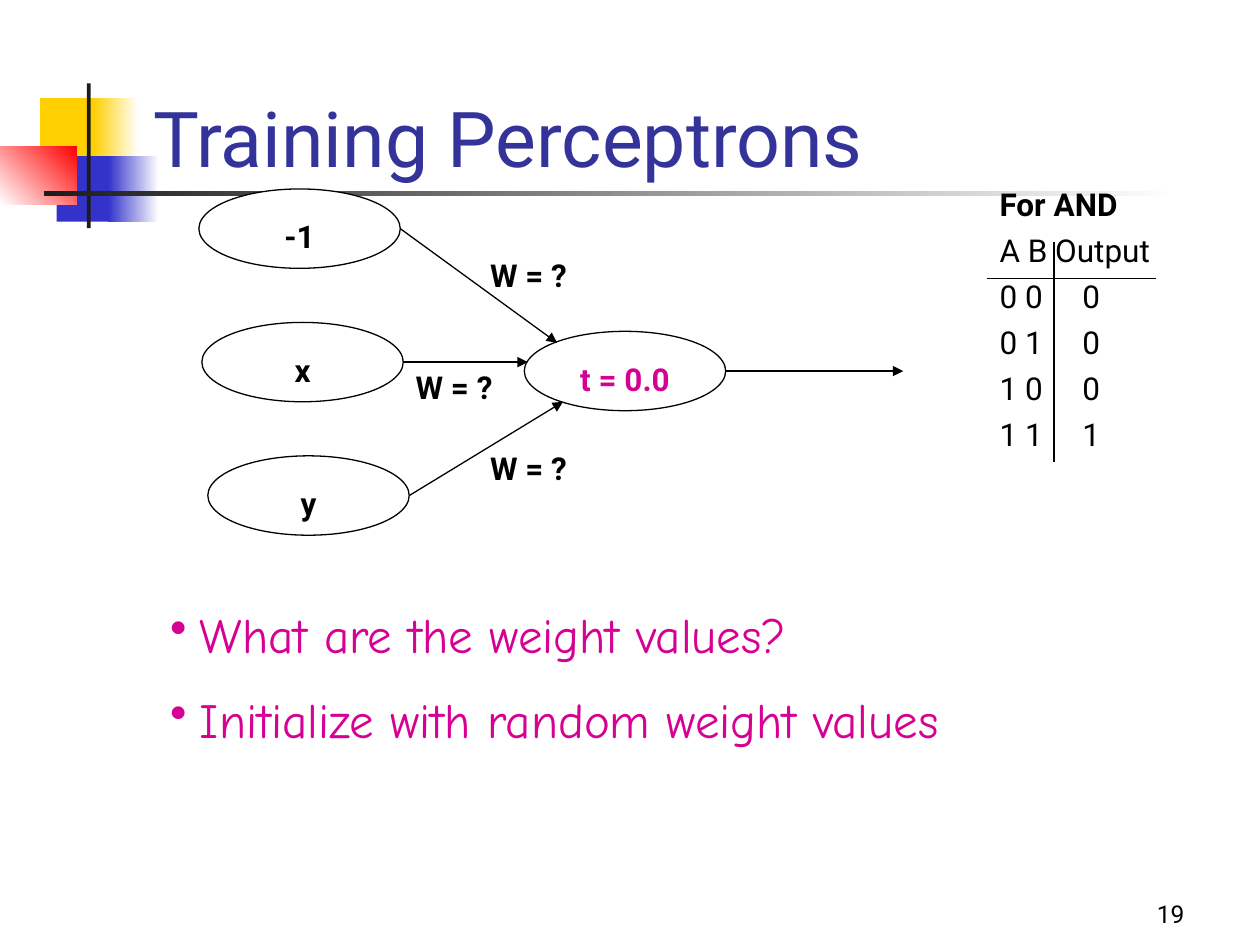
from lxml import etree
from pptx import Presentation
from pptx.dml.color import RGBColor
from pptx.enum import shapes, text
from pptx.oxml.ns import qn
from pptx.util import Cm, Pt

BLACK, WHITE, MAGENTA = "000000", "FFFFFF", "D60093"
YELLOW, BLUE, RED, CHARCOAL = "FFCF01", "3333CC", "FF0000", "1C1C1C"
LABEL_FONT, BULLET_FONT = "Roboto", "Comic Neue"
NODE_W, NODE_H = 4.06, 1.6


def rgb(value):
    return RGBColor.from_string(value)


def style(paragraph, size, color=BLACK, bold=False, name=LABEL_FONT):
    font = paragraph.font
    font.name, font.size, font.bold = name, Pt(size), bold
    font.color.rgb = rgb(color)


def add_text(slide, box, content, size, color=BLACK, bold=False,
             name=LABEL_FONT, align=None, anchor=text.MSO_ANCHOR.TOP):
    frame = slide.shapes.add_textbox(*map(Cm, box)).text_frame
    frame.word_wrap = True
    frame.vertical_anchor = anchor
    paragraph = frame.paragraphs[0]
    paragraph.text = content
    paragraph.alignment = align
    style(paragraph, size, color, bold, name)
    return frame


def add_block(slide, box, color, fade_angle=None):
    """Plain rectangle; with fade_angle it fades from color to white."""
    block = slide.shapes.add_shape(shapes.MSO_SHAPE.RECTANGLE, *map(Cm, box))
    block.shadow.inherit = False
    block.line.fill.background()
    if fade_angle is None:
        block.fill.solid()
        block.fill.fore_color.rgb = rgb(color)
    else:
        block.fill.gradient()
        block.fill.gradient_angle = fade_angle
        for stop, shade in zip(block.fill.gradient_stops, (color, WHITE)):
            stop.color.rgb = rgb(shade)


def add_line(slide, start, end, arrow=False):
    line = slide.shapes.add_connector(
        shapes.MSO_CONNECTOR.STRAIGHT, *map(Cm, (*start, *end)))
    line.line.color.rgb = rgb(BLACK)
    line.line.width = Pt(0.75)
    if arrow:
        etree.SubElement(line.line._get_or_add_ln(), qn("a:tailEnd"), type="triangle")
    etree.SubElement(line._element.spPr, qn("a:effectLst"))


def add_node(slide, x, y, label, color=BLACK):
    node = slide.shapes.add_shape(
        shapes.MSO_SHAPE.OVAL, *map(Cm, (x, y, NODE_W, NODE_H)))
    node.shadow.inherit = False
    node.fill.solid()
    node.fill.fore_color.rgb = rgb(WHITE)
    node.line.color.rgb = rgb(BLACK)
    node.line.width = Pt(0.75)
    frame = node.text_frame
    frame.vertical_anchor = text.MSO_ANCHOR.MIDDLE
    frame.margin_top, frame.margin_bottom = Cm(0.3), 0
    paragraph = frame.paragraphs[0]
    paragraph.text = label
    paragraph.alignment = text.PP_ALIGN.CENTER
    style(paragraph, 18, color, bold=True)


def add_motif(slide, left, top):
    """Coloured blocks crossed by two dark rules."""
    blocks = [
        (0.81, 0.3, 1.22, 1.32, YELLOW, None),
        (1.88, 0.3, 0.91, 1.32, YELLOW, 0),
        (1.14, 1.47, 1.17, 1.32, BLUE, None),
        (2.18, 1.47, 1.02, 1.32, BLUE, 0),
        (0, 1.27, 1.55, 1.17, RED, 225),
        (1.75, 0, 0.08, 2.92, CHARCOAL, None),
        (0.89, 2.18, 22.86, 0.1, CHARCOAL, 0),
    ]
    for x, y, width, height, color, fade_angle in blocks:
        add_block(slide, (left + x, top + y, width, height), color, fade_angle)


def add_network(slide, left, top):
    """Three inputs joined by weighted arrows to one threshold unit."""
    unit_x, unit_y = left + 6.56, top + 2.87
    add_node(slide, unit_x, unit_y, "t = 0.0", MAGENTA)

    # label, node shift, arrow end, weight label position
    inputs = [
        ("-1", 0, (7.22, 3.1), (4.88, 1.22)),
        ("x", 0.06, (6.63, 3.49), (3.38, 3.48)),
        ("y", 0.18, (7.34, 4.29), (4.88, 5.11)),
    ]
    for row, (label, shift, tip, weight) in enumerate(inputs):
        x, y = left + shift, top + 2.69 * row
        add_node(slide, x, y, label)
        add_line(slide, (x + NODE_W, y + NODE_H / 2),
                 (left + tip[0], top + tip[1]), arrow=True)
        add_text(slide, (left + weight[0], top + weight[1], 3.53, 0.76),
                 "W = ?", 18, bold=True, align=text.PP_ALIGN.CENTER)

    output_y = unit_y + NODE_H / 2
    add_line(slide, (unit_x + NODE_W, output_y), (left + 14.2, output_y), arrow=True)


def add_truth_table(slide, left, top, width, height):
    frame = add_text(slide, (left, top, width, height), "For AND", 18, bold=True)
    frame.paragraphs[0].line_spacing = 0.7
    for row in ("A B Output", "0 0\t0", "0 1\t0", "1 0\t0", "1 1\t1"):
        paragraph = frame.add_paragraph()
        paragraph.text = row
        paragraph.line_spacing = 0.7
        paragraph.space_before = Pt(11.2)
        tabs = etree.SubElement(paragraph._p.get_or_add_pPr(), qn("a:tabLst"))
        etree.SubElement(tabs, qn("a:tab"), pos=str(Cm(1.67)), algn="l")
        style(paragraph, 18)
    add_line(slide, (left, top + 1.8), (left + 3.4, top + 1.8))
    add_line(slide, (left + 1.35, top + 1.07), (left + 1.35, top + 5.51))


def add_bullet(slide, left, top, width, content):
    frame = add_text(slide, (left, top, width, 1.45), content, 28,
                     MAGENTA, name=BULLET_FONT)
    properties = frame.paragraphs[0]._p.get_or_add_pPr()
    properties.set("marL", str(Cm(0.6)))
    properties.set("indent", str(-Cm(0.6)))
    bullet_color = etree.Element(qn("a:buClr"))
    etree.SubElement(bullet_color, qn("a:srgbClr"), val=MAGENTA)
    bullet = etree.Element(qn("a:buChar"), char="•")
    properties.insert(0, bullet_color)
    properties.insert(1, bullet)


def main():
    deck = Presentation()
    deck.slide_width, deck.slide_height = Cm(25.4), Cm(19.05)
    slide = deck.slides.add_slide(deck.slide_layouts[6])
    add_motif(slide, 0, 1.68)
    add_text(slide, (2.84, 1.55, 21.64, 2.26), "Training Perceptrons", 44,
             "333399", anchor=text.MSO_ANCHOR.BOTTOM)
    add_network(slide, 4.01, 3.81)
    add_truth_table(slide, 19.9, 3.81, 3.58, 5.97)
    add_bullet(slide, 3.18, 12.06, 16.5, "What are the weight values?")
    add_bullet(slide, 3.18, 13.77, 19.05, "Initialize with random weight values")
    add_text(slide, (18.85, 17.58, 5.28, 1.27), "19", 14,
             align=text.PP_ALIGN.RIGHT, anchor=text.MSO_ANCHOR.BOTTOM)
    deck.save("out.pptx")


if __name__ == "__main__":
    main()
